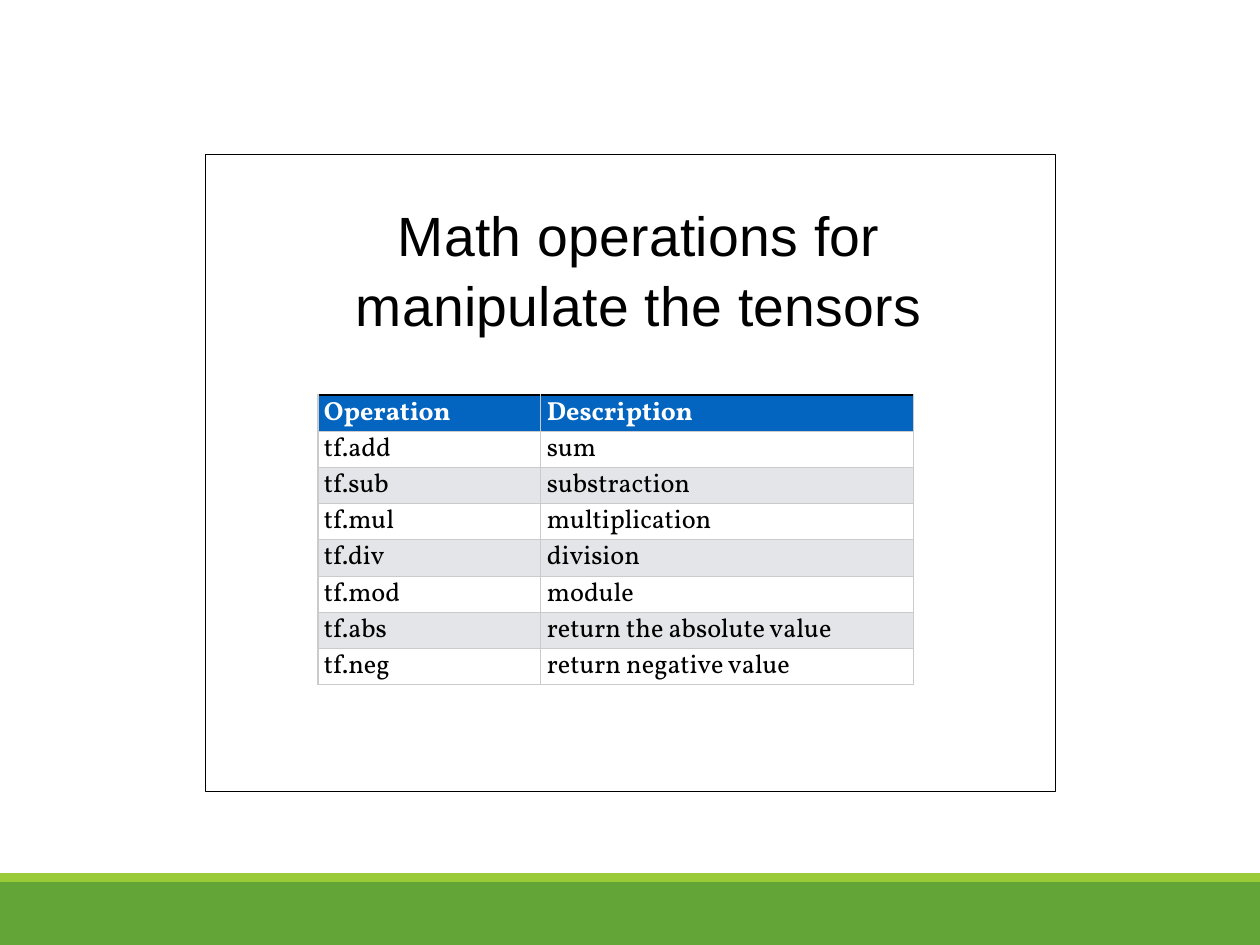
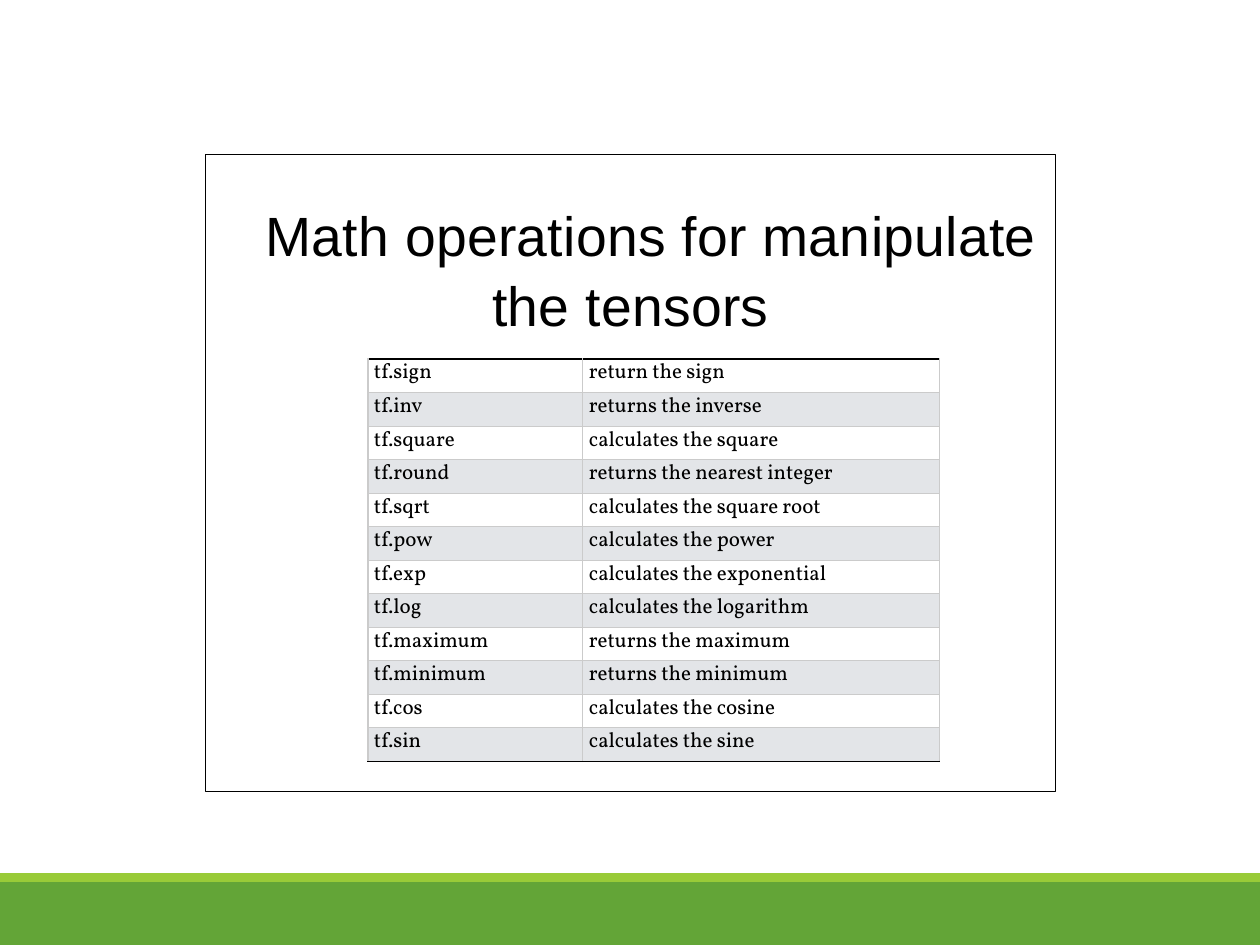
from lxml.etree import SubElement
from pptx import Presentation
from pptx.dml.color import RGBColor
from pptx.enum.shapes import MSO_SHAPE
from pptx.enum.text import MSO_ANCHOR, MSO_AUTO_SIZE, PP_ALIGN
from pptx.oxml.ns import qn
from pptx.util import Emu, Pt

PX_PER_INCH = 126
SLIDE_WIDTH, SLIDE_HEIGHT = 1260, 945
TITLE_LAYOUT = 5
TITLE = "Math operations for manipulate the tensors"
TITLE_FONT, TABLE_FONT = "Arial", "Vollkorn"
COLORS = {
    "text": "000000",
    "header_text": "FFFFFF",
    "header": "0365C0",
    "stripe": "E3E5E8",
    "grid": "CBCBCB",
    "band": "63A537",
    "accent": "99CB38",
}

ARITHMETIC = [
    ("Operation", "Description"),
    ("tf.add", "sum"),
    ("tf.sub", "substraction"),
    ("tf.mul", "multiplication"),
    ("tf.div", "division"),
    ("tf.mod", "module"),
    ("tf.abs", "return the absolute value"),
    ("tf.neg", "return negative value"),
]
FUNCTIONS = [
    ("tf.sign", "return the sign"),
    ("tf.inv", "returns the inverse"),
    ("tf.square", "calculates the square"),
    ("tf.round", "returns the nearest integer"),
    ("tf.sqrt", "calculates the square root"),
    ("tf.pow", "calculates the power"),
    ("tf.exp", "calculates the exponential"),
    ("tf.log", "calculates the logarithm"),
    ("tf.maximum", "returns the maximum"),
    ("tf.minimum", "returns the minimum"),
    ("tf.cos", "calculates the cosine"),
    ("tf.sin", "calculates the sine"),
]


def px(length):
    return Emu(round(length * 914400 / PX_PER_INCH))


def rgb(name):
    return RGBColor.from_string(COLORS[name])


def style_run(run, font, size, color, bold=False):
    run.font.name = font
    run.font.size = Pt(size)
    run.font.bold = bold
    run.font.color.rgb = rgb(color)


def add_rectangle(slide, left, top, width, height, fill=None):
    rectangle = slide.shapes.add_shape(
        MSO_SHAPE.RECTANGLE, px(left), px(top), px(width), px(height))
    rectangle.shadow.inherit = False
    if fill:
        rectangle.fill.solid()
        rectangle.fill.fore_color.rgb = rgb(fill)
        rectangle.line.fill.background()
    else:
        rectangle.fill.background()
        rectangle.line.color.rgb = rgb("text")
        rectangle.line.width = Pt(0.25)


def place_title(slide, left, width, alignment):
    title = slide.shapes.title
    title.left, title.top = px(left), px(197)
    title.width, title.height = px(width), px(135)
    frame = title.text_frame
    frame.text = TITLE
    frame.word_wrap = True
    frame.auto_size = MSO_AUTO_SIZE.SHAPE_TO_FIT_TEXT
    frame.vertical_anchor = MSO_ANCHOR.TOP
    frame.margin_left = frame.margin_right = 0
    frame.margin_top = frame.margin_bottom = 0
    paragraph = frame.paragraphs[0]
    paragraph.alignment = alignment
    paragraph.line_spacing = 1.06
    properties = paragraph._p.get_or_add_pPr()
    properties.set("marL", str(px(1)))
    properties.set("indent", str(px(42)))
    run = paragraph.runs[0]
    style_run(run, TITLE_FONT, 31.6, "text")
    run._r.get_or_add_rPr().set("spc", "20")


def add_borders(cell, top, bottom):
    properties = cell._tc.get_or_add_tcPr()
    sides = {"lnL": "grid", "lnR": "grid", "lnT": top, "lnB": bottom}
    for side, color in sides.items():
        line = SubElement(properties, qn(f"a:{side}"), w=str(Pt(0.7)))
        fill = SubElement(line, qn("a:solidFill"))
        SubElement(fill, qn("a:srgbClr"), val=COLORS[color])


def fill_cell(cell, text, size, is_header, is_striped):
    cell.text = text
    cell.margin_left = px(6)
    cell.margin_right = cell.margin_top = cell.margin_bottom = 0
    color = "header_text" if is_header else "text"
    style_run(cell.text_frame.paragraphs[0].runs[0], TABLE_FONT, size, color, is_header)
    if is_header or is_striped:
        cell.fill.solid()
        cell.fill.fore_color.rgb = rgb("header" if is_header else "stripe")
    else:
        cell.fill.background()


def add_operations(slide, operations, left, top, widths, height, size,
                   has_header=False, bottom="grid"):
    table = slide.shapes.add_table(
        len(operations), len(widths), px(left), px(top),
        px(sum(widths)), px(height)).table
    table.first_row = has_header
    table.horz_banding = False
    for column, width in zip(table.columns, widths):
        column.width = px(width)
    last = len(operations) - 1
    for index, operation in enumerate(operations):
        table.rows[index].height = px(height / len(operations))
        for cell, text in zip(table.rows[index].cells, operation):
            add_borders(cell,
                        "text" if index == 0 else "grid",
                        bottom if index == last else "grid")
            is_header = has_header and index == 0
            is_striped = (index - has_header) % 2 == 1
            fill_cell(cell, text, size, is_header, is_striped)


def add_operations_slide(presentation, title_left, title_width, alignment):
    slide = presentation.slides.add_slide(presentation.slide_layouts[TITLE_LAYOUT])
    add_rectangle(slide, 0, 882, SLIDE_WIDTH, 63, "band")
    add_rectangle(slide, 0, 873, SLIDE_WIDTH, 9, "accent")
    place_title(slide, title_left, title_width, alignment)
    add_rectangle(slide, 205, 154, 850, 637)
    return slide


def main():
    presentation = Presentation()
    presentation.slide_width = px(SLIDE_WIDTH)
    presentation.slide_height = px(SLIDE_HEIGHT)

    arithmetic = add_operations_slide(presentation, 355, 570, PP_ALIGN.LEFT)
    add_operations(arithmetic, ARITHMETIC, 318, 395, (223, 373), 290, 15,
                   has_header=True)

    functions = add_operations_slide(presentation, 205, 850, PP_ALIGN.CENTER)
    add_operations(functions, FUNCTIONS, 368, 359, (215, 357), 403, 12,
                   bottom="text")

    presentation.save("out.pptx")


if __name__ == "__main__":
    main()
